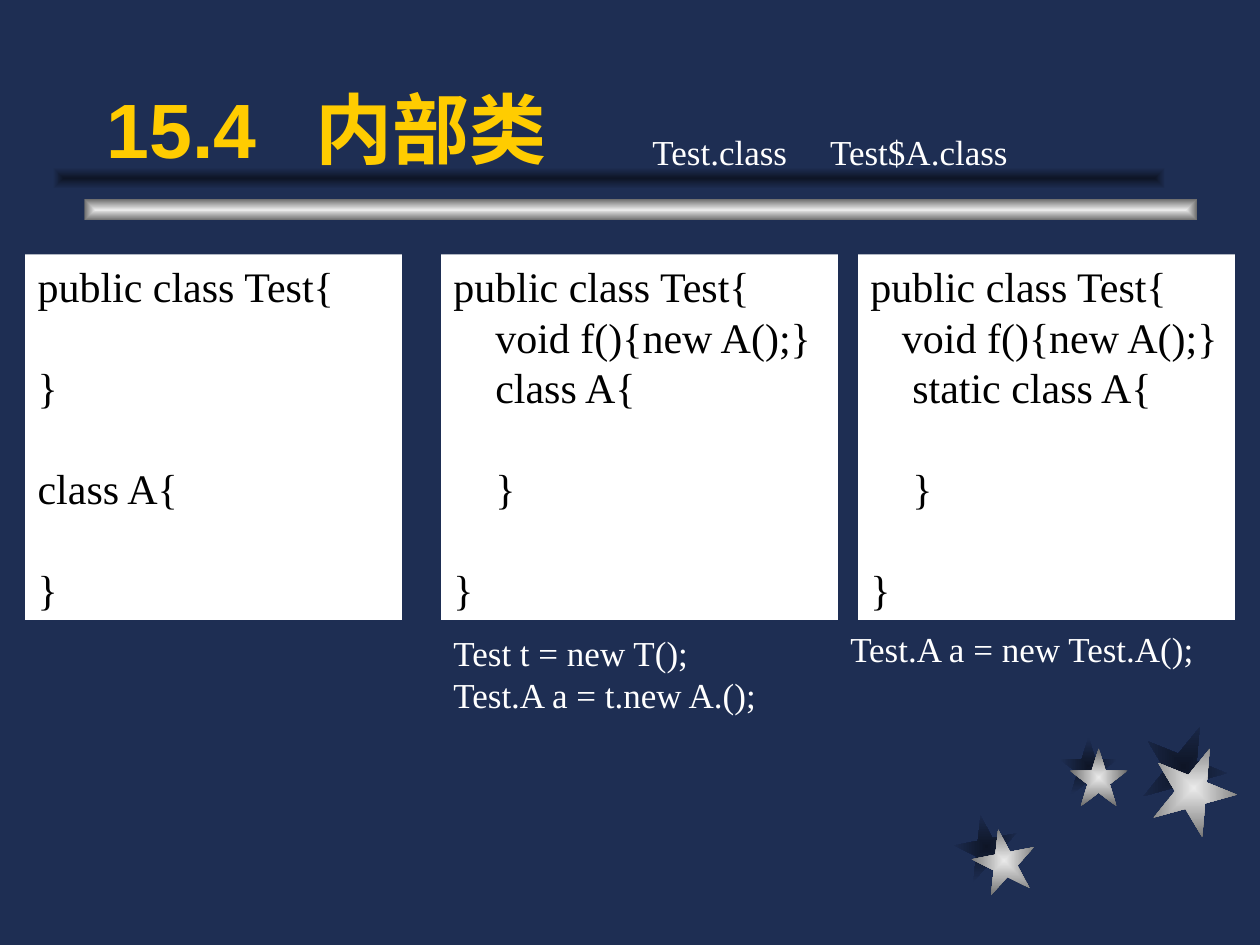
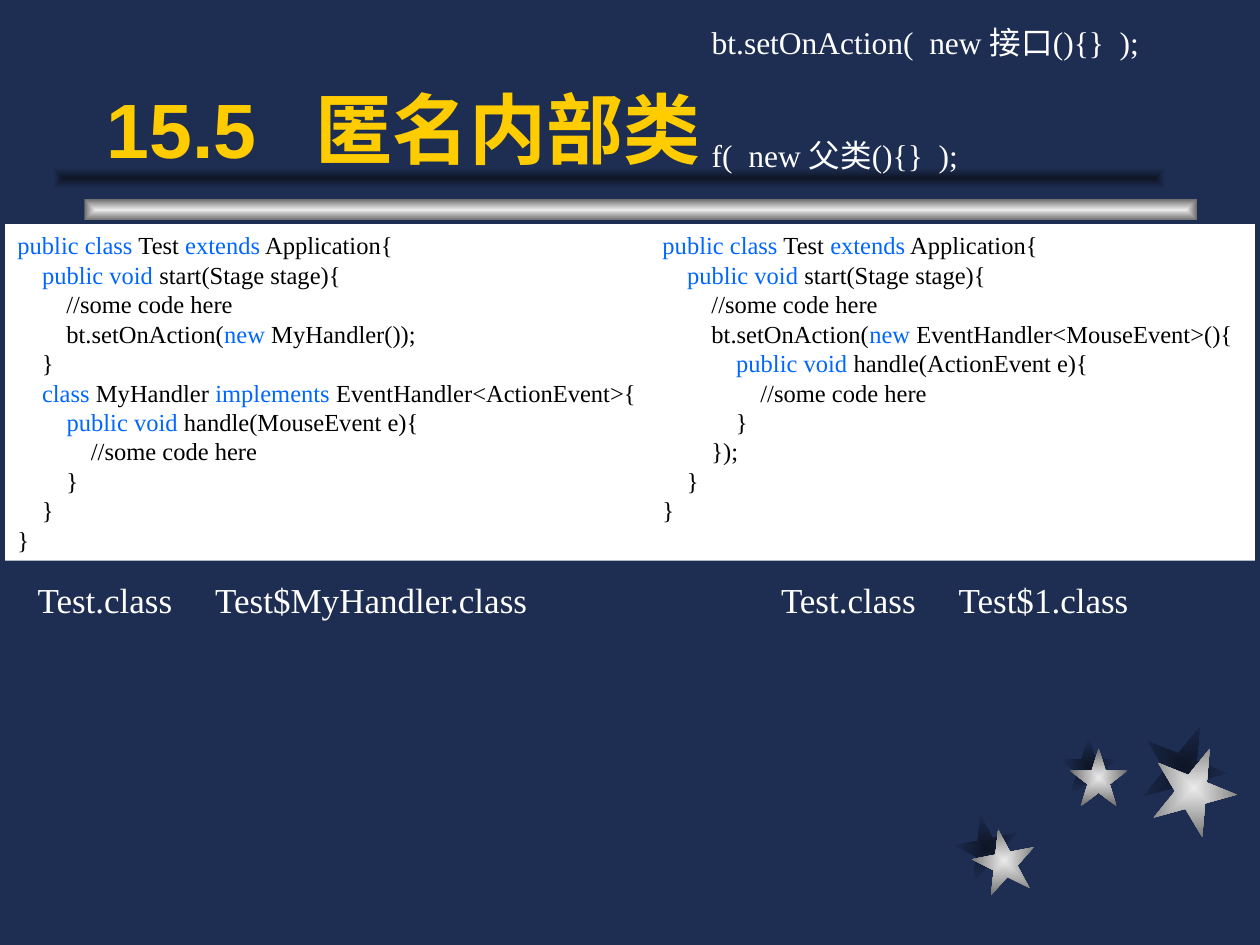
from pptx import Presentation
from pptx.dml.color import RGBColor as Rgb
from pptx.enum.shapes import MSO_SHAPE as Kind
from pptx.enum.text import MSO_ANCHOR as Anchor
from pptx.oxml import parse_xml
from pptx.oxml.ns import nsdecls, qn
from pptx.util import Inches, Pt

HEX = {"navy": "1E2E53", "dark": "0E1526", "silver": "EAEAEA", "gray": "6C6C6C",
       "gold": "FFCC00", "white": "FFFFFF", "black": "000000", "blue": "0066FF"}
SHADE, METAL = ("dark", "navy"), ("silver", "gray")

TITLE = {"name": "Arial", "size": Pt(44), "bold": True}
BODY = {"name": "Times New Roman", "bold": False}
LEAD = 1.2          # line pitch as a multiple of the text size
TITLE_TAB = 1.66
FILE_TAB = 1.41

# Stars: left, top, size, turn, colours
STARS = [
    (7.58, 6.47, 0.5, 349, SHADE), (8.41, 5.85, 0.46, 0, SHADE),
    (9.06, 5.75, 0.67, 22, SHADE), (7.72, 6.58, 0.5, 349, METAL),
    (8.49, 5.94, 0.46, 0, METAL), (9.14, 5.92, 0.67, 22, METAL),
]
BARS = [(0.67, 1.58, METAL), (0.42, 1.33, SHADE)]

# Panels and notes: box, text size, lines. Stars in a code line enclose keywords;
# an empty line adds one line of space before the next.
SLIDES = [
    {
        "title": "15.4\t内部类",
        "panels": [
            ((0.2, 2.02, 2.99, 2.9), 24, [
                "public class Test{",
                "",
                "}",
                "",
                "class A{",
                "",
                "}",
            ]),
            ((3.5, 2.02, 3.15, 2.9), 24, [
                "public class Test{",
                "    void f(){new A();}",
                "    class A{",
                "",
                "    }",
                "",
                "}",
            ]),
            ((6.81, 2.02, 2.99, 2.9), 24, [
                "public class Test{",
                "   void f(){new A();}",
                "    static class A{",
                "",
                "    }",
                "",
                "}",
            ]),
        ],
        "notes": [
            ((3.5, 4.96, 2.99, 1.1), 20, ["Test t = new T();", "Test.A a = t.new A.();"]),
            ((6.65, 4.93, 3.23, 0.77), 20, ["Test.A a = new Test.A();"]),
            ((5.08, 0.99, 3.31, 0.44), 20, ["Test.class\tTest$A.class"]),
        ],
    },
    {
        "title": "15.5\t匿名内部类",
        "panels": [
            ((0.04, 1.78, 5.12, 2.67), 14, [
                "*public class* Test *extends* Application{",
                "    *public void* start(Stage stage){",
                "        //some code here",
                "        bt.setOnAction(*new* MyHandler());",
                "    }",
                "    *class* MyHandler *implements* EventHandler<ActionEvent>{",
                "        *public void* handle(MouseEvent e){",
                "            //some code here",
                "        }",
                "    }",
                "}",
            ]),
            ((5.16, 1.78, 4.8, 2.67), 14, [
                "*public class* Test *extends* Application{",
                "    *public void* start(Stage stage){",
                "        //some code here",
                "        bt.setOnAction(*new* EventHandler<MouseEvent>(){",
                "            *public void* handle(ActionEvent e){",
                "                //some code here",
                "            }",
                "        });",
                "    }",
                "}",
            ]),
        ],
        "notes": [
            ((5.55, 0.13, 3.78, 1.3), 18,
             ["bt.setOnAction(  new 接口(){}  );", "", "", "f(  new 父类(){}  );"]),
            ((0.2, 4.54, 4.25, 0.44), 20, ["Test.class\tTest$MyHandler.class"]),
            ((6.1, 4.54, 3.31, 0.44), 20, ["Test.class\tTest$1.class"]),
        ],
    },
]


def color(name):
    return Rgb.from_string(HEX[name])


def add_run(par, text, tint, form):
    run = par.add_run()
    run.text = text
    for key, value in form.items():
        setattr(run.font, key, value)
    run.font.color.rgb = color(tint)


def add_tab(par, stop):
    par._p.get_or_add_pPr().append(parse_xml(
        f'<a:tabLst {nsdecls("a")}><a:tab pos="{Inches(stop)}" algn="l"/></a:tabLst>'))


def add_glow(slide, kind, box, tints, turn=0):
    """Shape shaded from its centre to its edges."""
    shape = slide.shapes.add_shape(kind, *map(Inches, box))
    shape.rotation = turn
    shape.shadow.inherit = False
    shape.fill.background()
    stops = "".join(f'<a:gs pos="{pos}"><a:srgbClr val="{HEX[tint]}"/></a:gs>'
                    for pos, tint in zip((0, 100000), tints))
    grad = parse_xml(
        f'<a:gradFill {nsdecls("a")} rotWithShape="1"><a:gsLst>{stops}</a:gsLst>'
        '<a:path path="rect"><a:fillToRect l="50000" t="50000" r="50000" b="50000"/>'
        '</a:path></a:gradFill>')
    props = shape._element.spPr
    props.replace(props.find(qn("a:noFill")), grad)
    shape.line.fill.background()


def add_decor(slide):
    for left, top, size, turn, tints in STARS:
        add_glow(slide, Kind.STAR_5_POINT, (left, top, size, size), tints, turn)
    for left, top, tints in BARS:
        add_glow(slide, Kind.RECTANGLE, (left, top, 8.83, 0.17), tints)


def add_title(slide, text):
    frame = slide.shapes.add_textbox(*map(Inches, (0.75, 0.52, 8.5, 0.98))).text_frame
    frame.word_wrap = True
    frame.vertical_anchor = Anchor.MIDDLE
    par = frame.paragraphs[0]
    add_tab(par, TITLE_TAB)
    add_run(par, text, "gold", TITLE)


def add_lines(slide, box, size, lines, tint, fill=None):
    shape = slide.shapes.add_textbox(*map(Inches, box))
    if fill:
        shape.fill.solid()
        shape.fill.fore_color.rgb = color(fill)
    frame = shape.text_frame
    frame.word_wrap = True
    form = {**BODY, "size": Pt(size)}
    par, gap = None, 0
    for line in lines:
        if not line:
            gap += 1
            continue
        par = frame.add_paragraph() if par else frame.paragraphs[0]
        par.line_spacing = Pt(size * LEAD)
        if gap:
            par.space_before = Pt(size * LEAD * gap)
        gap = 0
        if "\t" in line:
            add_tab(par, FILE_TAB)
        for num, part in enumerate(line.split("*")):
            if part:
                add_run(par, part, "blue" if num % 2 else tint, form)


def main():
    prs = Presentation()
    prs.slide_width, prs.slide_height = Inches(10), Inches(7.5)
    back = prs.slide_master.background.fill
    back.solid()
    back.fore_color.rgb = color("navy")
    for page in SLIDES:
        slide = prs.slides.add_slide(prs.slide_layouts[6])
        add_decor(slide)
        add_title(slide, page["title"])
        for panel in page["panels"]:
            add_lines(slide, *panel, "black", "white")
        for note in page["notes"]:
            add_lines(slide, *note, "white")
    prs.save("out.pptx")


if __name__ == "__main__":
    main()
